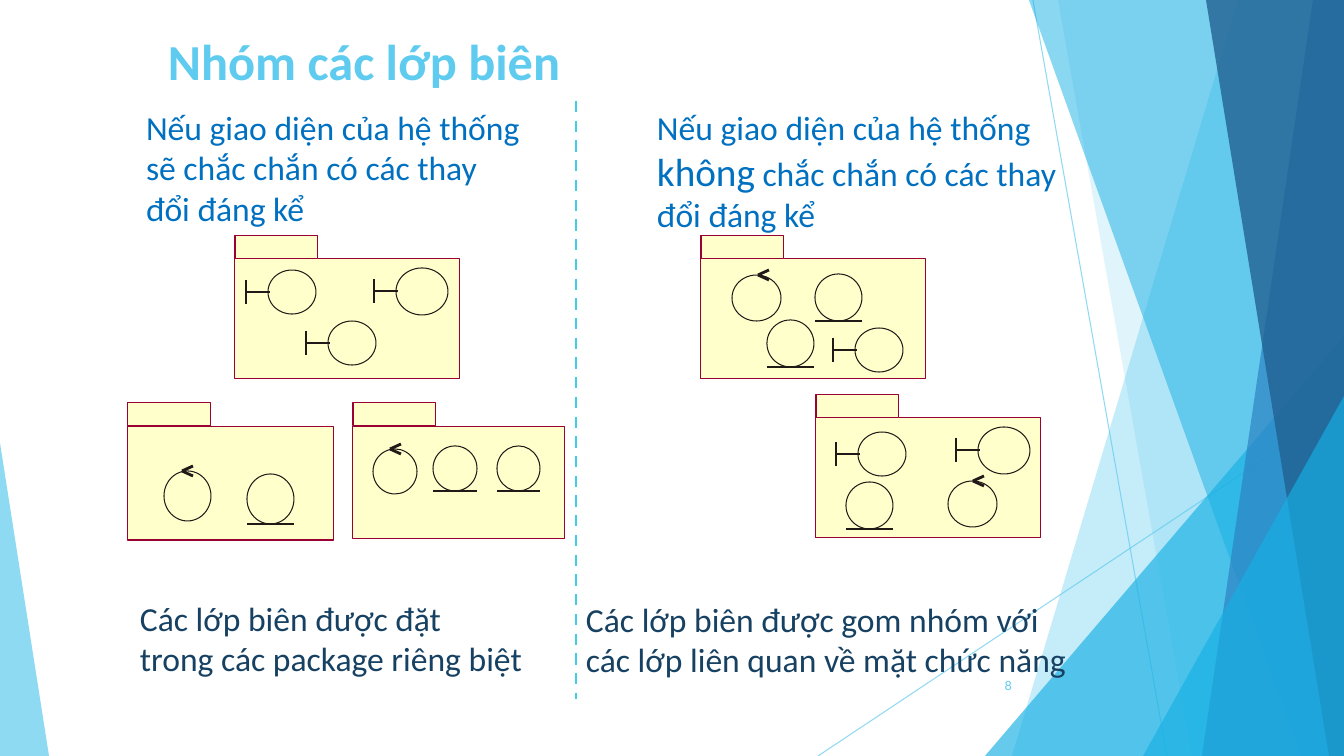
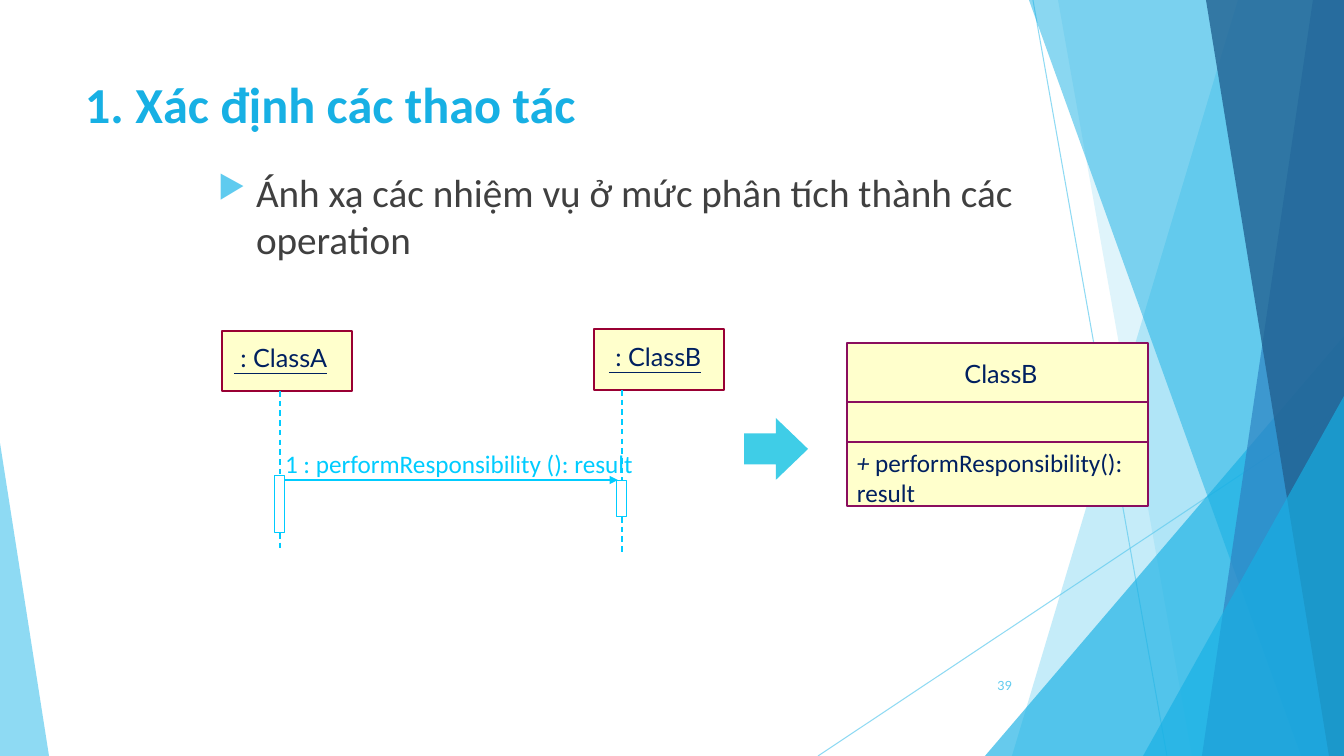
from lxml.etree import SubElement
from pptx import Presentation
from pptx.dml.color import RGBColor
from pptx.enum.dml import MSO_LINE
from pptx.enum.shapes import MSO_CONNECTOR, MSO_SHAPE
from pptx.enum.text import MSO_ANCHOR, PP_ALIGN
from pptx.oxml.ns import qn
from pptx.util import Emu, Pt

SCALE = 914400 / 100.8  # EMU per px
WIDTH, HEIGHT = 1344, 756
COLORS = {
    "sky": "5FCBEF", "blue": "17B0E4", "steel": "2E83C3", "deep": "226292",
    "cream": "FFFFCC", "wine": "990033", "plum": "8A0E5E", "ink": "1F1A17",
    "question": "0070C0", "answer": "174162", "teal": "3FCDE7",
    "body": "404040", "navy": "002060", "cyan": "00CCFF",
}

# Backdrop: bands run from a top x to a bottom x and fill out to the right edge
BACKDROP_LINES = [(1033, 0, 1167, 756), (1344, 406, 818, 756)]
BACKDROP = [
    ("band", (1238, 1012), "sky", 36),
    ("band", (1058, 1192), "sky", 20),
    ("triangle", (985, 336, 359, 420, 1), "blue", 66),
    ("band", (1029, 1301), "blue", 50),
    ("band", (1313, 1202), "steel", 70),
    ("band", (1206, 1329), "deep", 80),
    ("triangle", (1143, 396, 201, 360, 1), "blue", 66),
    ("triangle", (0, 443, 49, 313, 0), "sky", 70),
]

# Slide 1: packages and the class symbols inside them
PACKAGES = [(235, 259, 225, 120), (128, 426, 206, 114), (353, 426, 212, 113),
            (701, 259, 225, 120), (816, 418, 225, 120)]
BOUNDARIES = [(396, 268, 52, 47), (328, 321, 48, 44), (268, 270, 48, 44),
              (855, 328, 48, 44), (978, 427, 52, 47), (858, 432, 48, 44)]
ENTITIES = [(247, 474, 47, 50), (433, 446, 44, 45), (497, 446, 43, 45),
            (815, 274, 47, 47), (767, 320, 47, 47), (846, 482, 47, 47)]
CONTROLS = [  # circle, x of the arrow tip
    ((164, 471, 47, 50), 182), ((373, 449, 44, 45), 390),
    ((732, 275, 49, 46), 758), ((948, 481, 49, 46), 973),
]
QUESTIONS = [
    ((134, 101, 401, 134),
     [["Nếu giao diện của hệ thống sẽ chắc chắn có các thay đổi đáng kể"]]),
    ((645, 101, 436, 141),
     [["Nếu giao diện của hệ thống ", ("không", {"size": 28}),
       " chắc chắn có các thay đổi đáng kể"]]),
]
ANSWERS = [
    ((128, 592, 409, 94),
     [["Các lớp biên được đặt"], ["trong các package riêng biệt"]]),
    ((574, 593, 508, 94),
     [["Các lớp biên được gom nhóm với"],
      ["các lớp liên quan về mặt chức năng"]]),
]

# Slide 2: sequence diagram objects
OBJECTS = [
    {"name": " : ClassA", "box": (222, 331, 130, 60), "inset": (12, 11, 0, 0),
     "activation": (275, 476, 10, 57), "end": 551},
    {"name": " : ClassB", "box": (594, 329, 130, 61), "inset": (15, 12, 0, 0),
     "activation": (617, 481, 10, 36), "end": 552},
]
CLASS_BOX = (847, 343, 301, 163)
CLASS_DIVIDERS = [402, 442]


def px(n):
    return Emu(round(n * SCALE))


def rgb(name):
    return RGBColor.from_string(COLORS[name])


def set_alpha(sp, percent):
    for clr in sp._element.iter(qn("a:srgbClr")):
        SubElement(clr, qn("a:alpha")).set("val", str(percent * 1000))


def style(sp, fill=None, line=None, width=0):
    sp.shadow.inherit = False
    if fill:
        sp.fill.solid()
        sp.fill.fore_color.rgb = rgb(fill)
    else:
        sp.fill.background()
    if line:
        sp.line.color.rgb = rgb(line)
        sp.line.width = Pt(width)
    else:
        sp.line.fill.background()
    return sp


def shape(s, kind, box, **look):
    return style(s.shapes.add_shape(kind, *map(px, box)), **look)


def line(s, x1, y1, x2, y2, color="ink", width=0, dash=False):
    c = s.shapes.add_connector(MSO_CONNECTOR.STRAIGHT, *map(px, (x1, y1, x2, y2)))
    c.line.color.rgb = rgb(color)
    c.line.width = Pt(width)
    if dash:
        c.line.dash_style = MSO_LINE.DASH
    SubElement(c._element.spPr, qn("a:effectLst"))
    return c


def write(tf, paragraphs, size=18, color="navy", font="Calibri", bold=False,
          italic=False, underline=False, align=PP_ALIGN.LEFT,
          anchor=MSO_ANCHOR.TOP, inset=(10, 5, 10, 5), wrap=True, bullet=None):
    """Each paragraph is a list of runs: a string, or (string, {format})."""
    tf.word_wrap = wrap
    tf.vertical_anchor = anchor
    tf.margin_left, tf.margin_top, tf.margin_right, tf.margin_bottom = map(px, inset)
    for i, runs in enumerate(paragraphs):
        p = tf.paragraphs[0] if i == 0 else tf.add_paragraph()
        p.alignment = align
        if bullet:
            add_bullet(p, **bullet)
        for run in runs:
            words, own = (run, {}) if isinstance(run, str) else run
            r = p.add_run()
            r.text = words
            r.font.name = font
            r.font.size = Pt(own.get("size", size))
            r.font.bold = bold
            r.font.italic = own.get("italic", italic)
            r.font.underline = underline
            r.font.color.rgb = rgb(color)


def add_bullet(p, char, color, percent, indent):
    pPr = p._p.get_or_add_pPr()
    pPr.set("marL", str(px(indent)))
    pPr.set("indent", str(-px(indent)))
    clr = SubElement(pPr, qn("a:buClr"))
    SubElement(clr, qn("a:srgbClr")).set("val", COLORS[color])
    SubElement(pPr, qn("a:buSzPct")).set("val", str(percent * 1000))
    SubElement(pPr, qn("a:buChar")).set("char", char)


def text(s, box, paragraphs, **fmt):
    write(s.shapes.add_textbox(*map(px, box)).text_frame, paragraphs, **fmt)


def base_slide(prs, title, title_box, title_color, number):
    """Blank slide with the shared backdrop, title and slide number."""
    s = prs.slides.add_slide(prs.slide_layouts[6])
    for ends in BACKDROP_LINES:
        set_alpha(line(s, *ends, color="sky", width=0.75), 70)
    for kind, place, color, alpha in BACKDROP:
        if kind == "band":
            top, bottom = place
            fb = s.shapes.build_freeform(top, 0, scale=SCALE)
            fb.add_line_segments([(WIDTH, 0), (WIDTH, HEIGHT), (bottom, HEIGHT)])
            sp = style(fb.convert_to_shape(), fill=color)
        else:
            *box, apex = place
            sp = shape(s, MSO_SHAPE.ISOSCELES_TRIANGLE, box, fill=color)
            sp.adjustments[0] = apex
        set_alpha(sp, alpha)
    text(s, title_box, [[title]], size=36, color=title_color, bold=True)
    text(s, (946, 666, 76, 40), [[number]], size=9, color="sky", font="Lato",
         align=PP_ALIGN.RIGHT, anchor=MSO_ANCHOR.MIDDLE)
    return s


# Class symbols
def circle(s, box):
    shape(s, MSO_SHAPE.OVAL, box, fill="cream", line="ink")


def package(s, x, y, w, h):
    for box in ((x, y, w, h), (x, y - 23, 83, 23)):
        shape(s, MSO_SHAPE.RECTANGLE, box, fill="cream", line="wine")


def boundary(s, x, y, w, h):
    circle(s, (x, y, w, h))
    bar, middle = x - 22, y + h // 2
    line(s, bar, middle - 12, bar, middle + 12)
    line(s, bar, middle, x + 2, middle)


def entity(s, x, y, w, h):
    circle(s, (x, y, w, h))
    line(s, x, y + h, x + w, y + h)


def control(s, box, tip):
    circle(s, box)
    for dy in (-5, 5):
        line(s, tip + 11, box[1] + dy, tip, box[1])


def build_packages(prs):
    s = base_slide(prs, "Nhóm các lớp biên", (158, 25, 907, 61), "sky", "8")
    for box in PACKAGES:
        package(s, *box)
    for box in BOUNDARIES:
        boundary(s, *box)
    for box in ENTITIES:
        entity(s, *box)
    for box, tip in CONTROLS:
        control(s, box, tip)
    line(s, 576, 101, 576, 699, color="teal", width=2, dash=True)
    for box, paragraphs in QUESTIONS:
        text(s, box, paragraphs, size=24, color="question", inset=(12, 6, 12, 6))
    for box, paragraphs in ANSWERS:
        text(s, box, paragraphs, size=24, color="answer", inset=(12, 6, 12, 6),
             wrap=False)


def build_operations(prs):
    s = base_slide(prs, "1. Xác định các thao tác", (75, 68, 948, 145), "blue", "39")
    text(s, (208, 163, 935, 507),
         [["Ánh xạ các nhiệm vụ ở mức phân tích thành các operation"]],
         size=28, color="body",
         bullet={"char": "▶", "color": "sky", "percent": 80, "indent": 38})

    # Objects with lifelines
    for obj in OBJECTS:
        x, y, w, h = obj["activation"]
        center = x + w / 2
        _, box_top, _, box_height = obj["box"]
        head = shape(s, MSO_SHAPE.RECTANGLE, obj["box"], fill="cream",
                     line="wine", width=1)
        write(head.text_frame, [[obj["name"]]], font="Lato", underline=True,
              inset=obj["inset"])
        activation = shape(s, MSO_SHAPE.RECTANGLE, obj["activation"],
                           line="cyan", width=0.75)
        upper = line(s, center, box_top + box_height, center, y,
                     color="cyan", width=1, dash=True)
        upper.end_connect(activation, 0)
        lower = line(s, center, y + h, center, obj["end"],
                     color="cyan", width=1, dash=True)
        lower.begin_connect(activation, 2)

    # Message
    message = line(s, 285, 480, 618, 480, color="cyan", width=1)
    SubElement(message.line._get_or_add_ln(), qn("a:tailEnd")).set("type", "triangle")
    text(s, (275, 443, 373, 40), [["1 : performResponsibility (): result"]],
         color="cyan", wrap=False)

    # Resulting class
    arrow = shape(s, MSO_SHAPE.RIGHT_ARROW, (744, 418, 64, 62), fill="teal")
    arrow.adjustments[0], arrow.adjustments[1] = 0.5, 0.52
    shape(s, MSO_SHAPE.RECTANGLE, CLASS_BOX, fill="cream", line="plum", width=1)
    left, _, width, _ = CLASS_BOX
    for y in CLASS_DIVIDERS:
        line(s, left, y, left + width, y, color="plum", width=1)
    text(s, (886, 353, 230, 40), [["ClassB"]], font="Lato", align=PP_ALIGN.CENTER)
    text(s, (847, 442, 309, 72),
         [[("+ ", {"italic": True}), "performResponsibility(): result"]])


def main():
    prs = Presentation()
    prs.slide_width, prs.slide_height = px(WIDTH), px(HEIGHT)
    build_packages(prs)
    build_operations(prs)
    prs.save("out.pptx")


if __name__ == "__main__":
    main()
